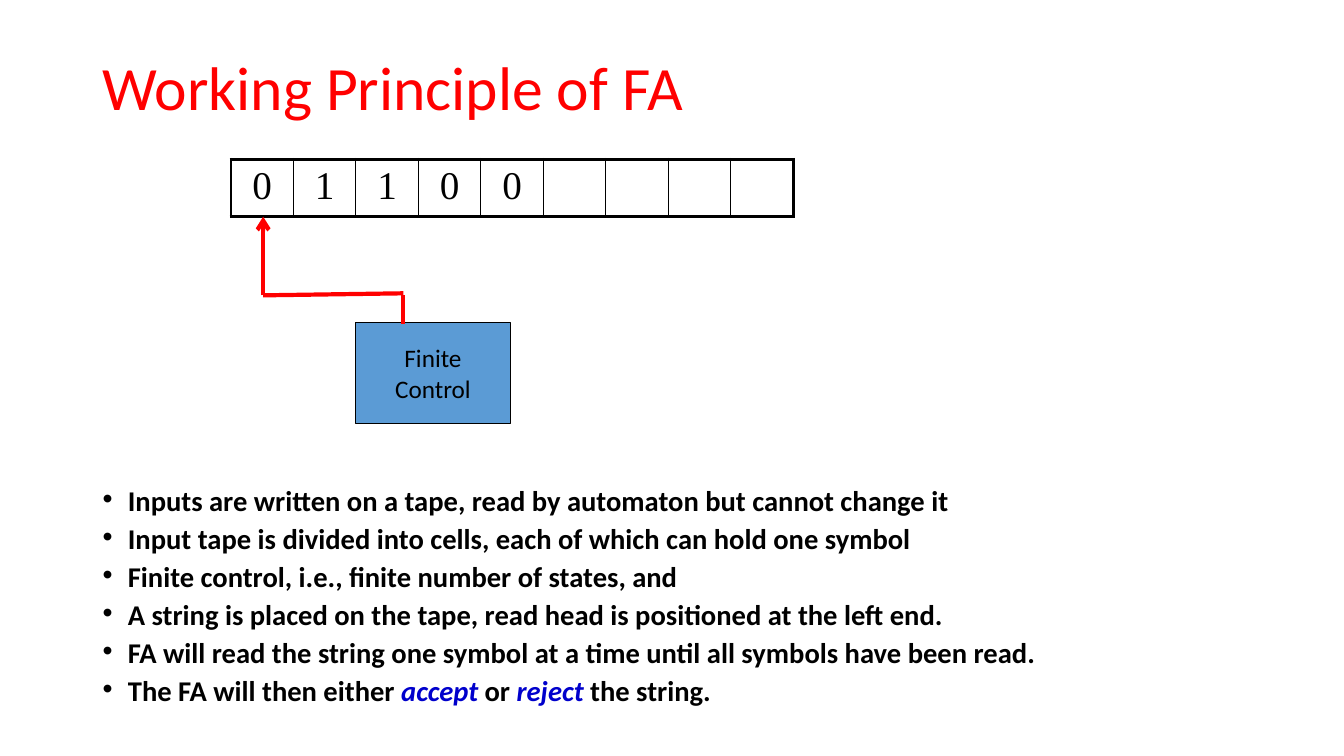
import pptx
import pptx.util
import pptx.dml.color
import pptx.enum.shapes
import pptx.enum.text
import pptx.oxml
import pptx.oxml.ns
import lxml.etree

SCALE = 9144
BLACK, RED, BLUE, BOX_BLUE = "000000", "FF0000", "0000CC", "5B9BD5"
CENTER = pptx.enum.text.PP_ALIGN.CENTER
MIDDLE = pptx.enum.text.MSO_ANCHOR.MIDDLE

TAPE = ["0", "1", "1", "0", "0", "", "", "", ""]
POINTS = [
    [("Inputs are written on a tape, read by automaton but cannot change it", False)],
    [("Input tape is divided into cells, each of which can hold one symbol", False)],
    [("Finite control, i.e., finite number of states, and", False)],
    [("A string is placed on the tape, read head is positioned at the left end.", False)],
    [("FA will read the string one symbol at a time until all symbols have been read.", False)],
    [("The FA will then either ", False), ("accept", True), (" or ", False),
     ("reject ", True), ("the string.", False)],
]


def px(*lengths):
    return [pptx.util.Emu(length * SCALE) for length in lengths]


def color(value):
    return pptx.dml.color.RGBColor.from_string(value)


def add_child(parent, tag, **attributes):
    child = lxml.etree.SubElement(parent, pptx.oxml.ns.qn(tag))
    for name, value in attributes.items():
        child.set(name, str(value))
    return child


def add_run(paragraph, text, size, value, font="Calibri", bold=False, italic=False):
    run = paragraph.add_run()
    run.text = text
    run.font.name = font
    run.font.size = pptx.util.Pt(size)
    run.font.bold = bold
    run.font.italic = italic
    run.font.color.rgb = color(value)


def add_paragraph(frame, index):
    return frame.add_paragraph() if index else frame.paragraphs[0]


def add_title(slide, text):
    frame = slide.shapes.add_textbox(*px(92, 40, 1150, 100)).text_frame
    frame.word_wrap = True
    frame.vertical_anchor = MIDDLE
    paragraph = frame.paragraphs[0]
    paragraph.line_spacing = 0.9
    add_run(paragraph, text, 44, RED)


def add_bullets(slide, points):
    frame = slide.shapes.add_textbox(*px(92, 483, 1150, 211)).text_frame
    frame.word_wrap = True
    for index, pieces in enumerate(points):
        paragraph = add_paragraph(frame, index)
        paragraph.line_spacing = 0.7
        if index:
            paragraph.space_before = pptx.util.Pt(10)
        properties = paragraph._p.get_or_add_pPr()
        properties.set("marL", str(25 * SCALE))
        properties.set("indent", str(-25 * SCALE))
        add_child(properties, "a:buFont", typeface="Arial")
        add_child(properties, "a:buChar", char="•")
        for text, stressed in pieces:
            add_run(paragraph, text, 20.4, BLUE if stressed else BLACK,
                    bold=True, italic=stressed)


def add_border(cell, side, width):
    line = add_child(cell._tc.get_or_add_tcPr(), "a:ln" + side, w=pptx.util.Pt(width))
    add_child(add_child(line, "a:solidFill"), "a:srgbClr", val=BLACK)


def add_tape(slide, symbols):
    table = slide.shapes.add_table(1, len(symbols), *px(229, 158, 62 * len(symbols), 57)).table
    table.first_row = False
    table.horz_banding = False
    last = len(symbols) - 1
    for index, symbol in enumerate(symbols):
        cell = table.cell(0, index)
        add_border(cell, "L", 2.25 if index == 0 else 1)
        add_border(cell, "R", 2.25 if index == last else 1)
        add_border(cell, "T", 2.25)
        add_border(cell, "B", 2.25)
        cell.fill.background()
        if symbol:
            paragraph = cell.text_frame.paragraphs[0]
            paragraph.alignment = CENTER
            add_run(paragraph, symbol, 28, BLACK, font="Times New Roman")


def add_control(slide, lines):
    shape = slide.shapes.add_shape(
        pptx.enum.shapes.MSO_SHAPE.RECTANGLE, *px(353, 320, 153, 100))
    shape.shadow.inherit = False
    shape.fill.solid()
    shape.fill.fore_color.rgb = color(BOX_BLUE)
    shape.line.color.rgb = color(BLACK)
    shape.line.width = pptx.util.Pt(0.75)
    frame = shape.text_frame
    frame.word_wrap = False
    frame.vertical_anchor = MIDDLE
    for index, text in enumerate(lines):
        paragraph = add_paragraph(frame, index)
        paragraph.alignment = CENTER
        add_run(paragraph, text, 18, BLACK)


def add_line(slide, start, end, arrow=False):
    connector = slide.shapes.add_connector(
        pptx.enum.shapes.MSO_CONNECTOR.STRAIGHT, *px(*start, *end))
    connector.line.color.rgb = color(RED)
    connector.line.width = pptx.util.Pt(3)
    if arrow:
        add_child(connector.line._get_or_add_ln(), "a:tailEnd", type="arrow")
    add_child(connector._element.spPr, "a:effectLst")


def main():
    presentation = pptx.Presentation()
    presentation.slide_width, presentation.slide_height = px(1333, 750)
    slide = presentation.slides.add_slide(presentation.slide_layouts[6])
    add_title(slide, "Working Principle of FA")
    add_bullets(slide, POINTS)
    add_control(slide, ["Finite", "Control"])
    add_tape(slide, TAPE)
    add_line(slide, (261, 293), (261, 215), arrow=True)
    add_line(slide, (261, 293), (400, 291))
    add_line(slide, (400, 293), (400, 321))
    presentation.save("out.pptx")


if __name__ == "__main__":
    main()
